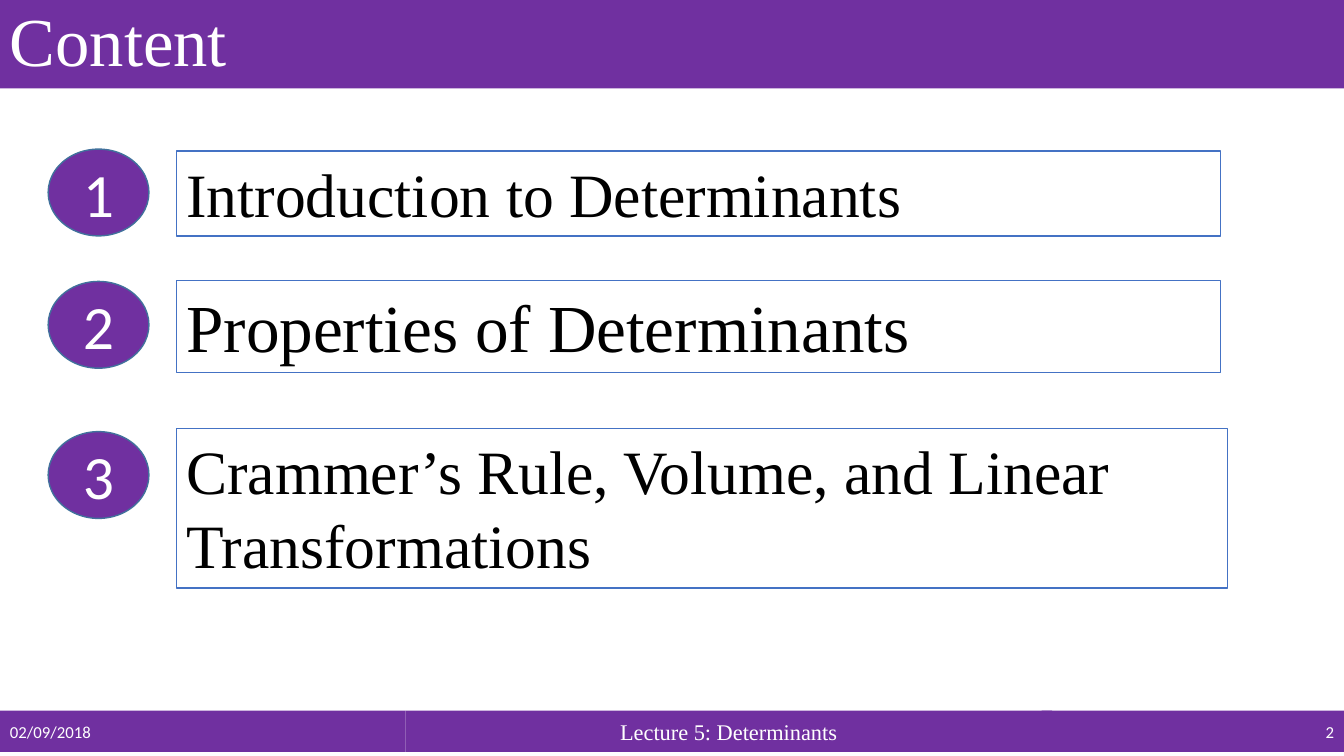
from pptx import Presentation
from pptx.dml.color import RGBColor
from pptx.enum.shapes import MSO_SHAPE
from pptx.enum.text import MSO_ANCHOR, PP_ALIGN
from pptx.util import Pt

RECT, OVAL = MSO_SHAPE.RECTANGLE, MSO_SHAPE.OVAL
TOP, MIDDLE = MSO_ANCHOR.TOP, MSO_ANCHOR.MIDDLE
LEFT, CENTER, RIGHT = PP_ALIGN.LEFT, PP_ALIGN.CENTER, PP_ALIGN.RIGHT
SERIF, SANS = "Times New Roman", "Calibri"
COLORS = {
    "purple": "7030A0",
    "white": "FFFFFF",
    "black": "000000",
    "oval_line": "41719C",
    "box_line": "4472C4",
}
WIDTH, HEIGHT = 960, 540
FOOTER_TOP, FOOTER_HEIGHT = 507.6, 29.5

# number, topic, text size, oval top, box top, box width, box height
TOPICS = [
    ("1", "Introduction to Determinants", 44, 106.5, 108, 746, 60.5),
    ("2", "Properties of Determinants", 48, 201, 200.3, 746, 65.7),
    ("3", "Crammer’s Rule, Volume, and Linear Transformations", 44, 308.3, 306, 751, 114),
]


def rgb(name):
    return RGBColor.from_string(COLORS[name])


def add_block(s, kind, box, fill, line=None):
    sp = s.shapes.add_shape(kind, *(Pt(v) for v in box))
    sp.shadow.inherit = False
    sp.fill.solid()
    sp.fill.fore_color.rgb = rgb(fill)
    if line:
        sp.line.color.rgb = rgb(line)
        sp.line.width = Pt(1)
    else:
        sp.line.fill.background()
    return sp


def write(sp, text, size, font, color="white", align=LEFT, anchor=MIDDLE):
    tf = sp.text_frame
    tf.word_wrap = True
    tf.vertical_anchor = anchor
    p = tf.paragraphs[0]
    p.alignment = align
    r = p.add_run()
    r.text = text
    r.font.size = Pt(size)
    r.font.name = font
    r.font.color.rgb = rgb(color)
    return p


def add_title(s, text):
    sp = add_block(s, RECT, (0, 0, WIDTH, 63.2), "purple")
    write(sp, text, 49, SERIF).line_spacing = 0.9


def add_footer(s, left, width, text, size, font, align):
    sp = add_block(s, RECT, (left, FOOTER_TOP, width, FOOTER_HEIGHT), "purple")
    write(sp, text, size, font, align=align)


def add_topic(s, number, topic, size, oval_top, box_top, box_width, box_height):
    oval = add_block(s, OVAL, (34.4, oval_top, 72, 62), "purple", "oval_line")
    write(oval, number, 44, SANS, align=CENTER)
    box = add_block(s, RECT, (126, box_top, box_width, box_height), "white", "box_line")
    write(box, topic, size, SERIF, "black", anchor=TOP)


def main():
    prs = Presentation()
    prs.slide_width, prs.slide_height = Pt(WIDTH), Pt(HEIGHT)
    s = prs.slides.add_slide(prs.slide_layouts[6])
    add_title(s, "Content")
    add_footer(s, 0, 289.5, "02/09/2018", 12, SANS, LEFT)
    add_footer(s, 289.5, 462, "Lecture 5: Determinants", 16, SERIF, CENTER)
    add_footer(s, 744, 216, "2", 12, SANS, RIGHT)
    for topic in TOPICS:
        add_topic(s, *topic)
    prs.save("out.pptx")


if __name__ == "__main__":
    main()
